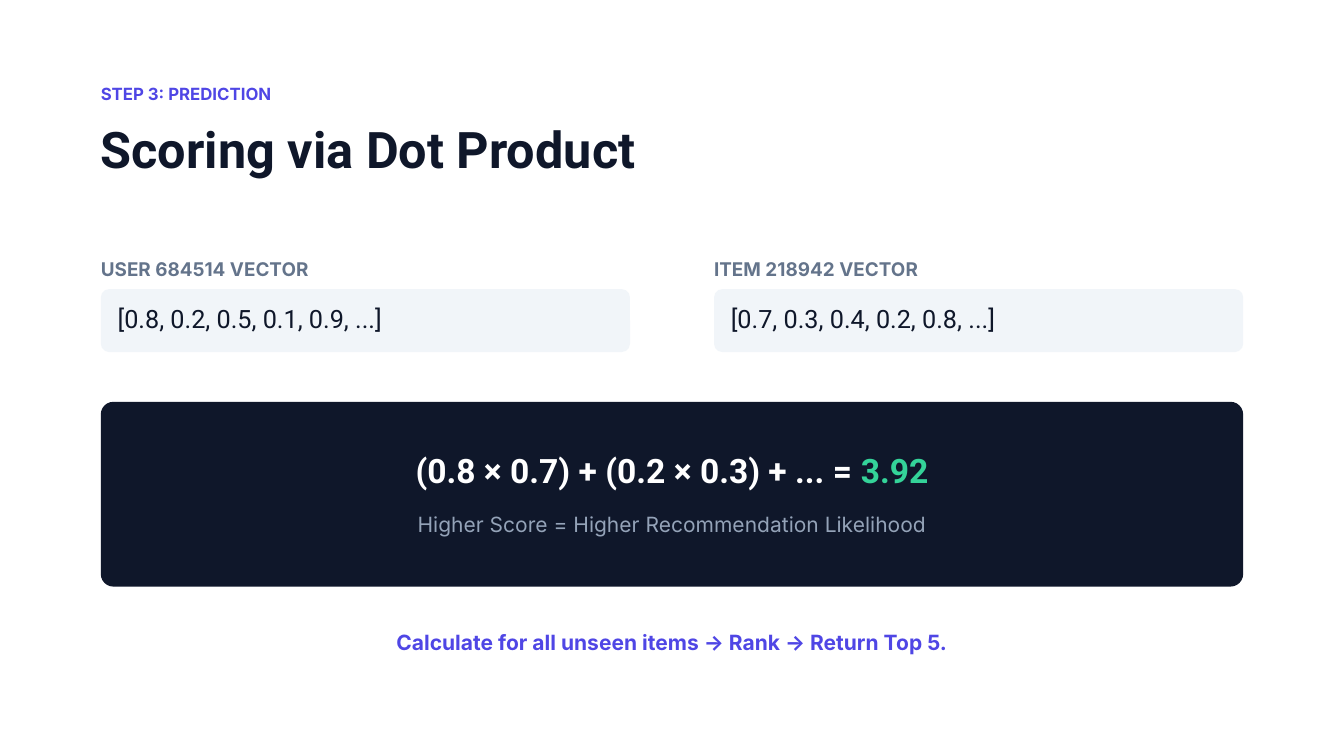
from pptx import Presentation
from pptx.dml.color import RGBColor
from pptx.enum.shapes import MSO_SHAPE as SHAPE
from pptx.enum.text import PP_ALIGN as ALIGN
from pptx.util import Pt

PX = 9525
COLORS = {
    "ink": "0F172A",
    "panel": "F1F5F9",
    "accent": "4F46E5",
    "label": "64748B",
    "muted": "94A3B8",
    "white": "FFFFFF",
    "score": "34D399",
}

prs = Presentation()
prs.slide_width, prs.slide_height = 1920 * PX, 1080 * PX
s = prs.slides.add_slide(prs.slide_layouts[6])


def rgb(name):
    return RGBColor.from_string(COLORS[name])


def add_text(text, *, box, size, color, leading, font="Inter", bold=False,
             align=ALIGN.LEFT, tail="", tail_color="score"):
    tf = s.shapes.add_textbox(*[v * PX for v in box]).text_frame
    tf.word_wrap = True
    tf.margin_left = tf.margin_top = tf.margin_right = tf.margin_bottom = 0
    p = tf.paragraphs[0]
    p.alignment = align
    p.line_spacing = Pt(leading)
    for part, part_color in ((text, color), (tail, tail_color)):
        if part:
            r = p.add_run()
            r.text = part
            r.font.name = font
            r.font.size = Pt(size)
            r.font.bold = bold
            r.font.color.rgb = rgb(part_color)


panels = [
    ((144, 574, 1632, 264), 18, "ink"),
    ((144, 413, 756, 90), 12, "panel"),
    ((1020, 413, 756, 90), 12, "panel"),
]
for box, radius, color in panels:
    sp = s.shapes.add_shape(SHAPE.ROUNDED_RECTANGLE, *[v * PX for v in box])
    sp.adjustments[0] = radius / box[3]
    sp.shadow.inherit = False
    sp.fill.solid()
    sp.fill.fore_color.rgb = rgb(color)
    sp.line.fill.background()

add_text("STEP 3: PREDICTION", box=(144, 120, 1776, 30), size=18,
         color="accent", leading=21.6, bold=True)
add_text("Scoring via Dot Product", box=(144, 176, 1776, 77), size=54,
         color="ink", leading=59.4, font="Roboto", bold=True)

vectors = [
    (144, "USER 684514 VECTOR", "[0.8, 0.2, 0.5, 0.1, 0.9, ...]"),
    (1020, "ITEM 218942 VECTOR", "[0.7, 0.3, 0.4, 0.2, 0.8, ...]"),
]
for x, label, values in vectors:
    add_text(label, box=(x, 368, 900, 33), size=20.25, color="label",
             leading=24.3, bold=True)
    add_text(values, box=(x + 24, 434, 723, 44), size=27, color="ink",
             leading=32.4, font="Roboto")

add_text("(0.8 × 0.7) + (0.2 × 0.3) + ... = ", tail="3.92",
         box=(30, 643, 1860, 63), size=36, color="white", leading=43.2,
         font="Roboto", bold=True, align=ALIGN.CENTER)
add_text("Higher Score = Higher Recommendation Likelihood",
         box=(30, 730, 1860, 37), size=22.5, color="muted", leading=27,
         align=ALIGN.CENTER)
add_text("Calculate for all unseen items → Rank → Return Top 5.",
         box=(0, 894, 1920, 47), size=22.5, color="accent", leading=31.5,
         bold=True, align=ALIGN.CENTER)

prs.save("out.pptx")
